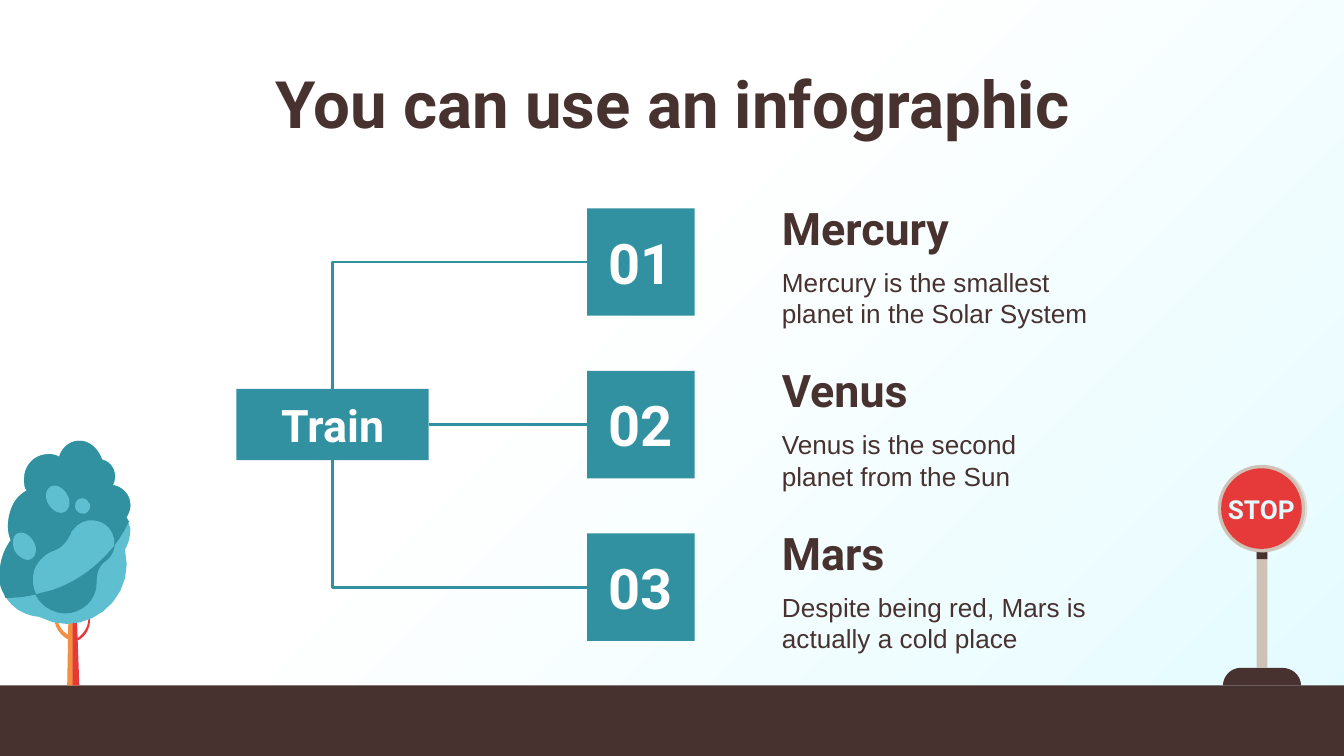
from dataclasses import dataclass

from lxml import etree
from pptx import Presentation
from pptx.dml.color import RGBColor
from pptx.enum import shapes, text
from pptx.oxml import ns
from pptx.util import Pt

COLORS = {
    "brown": "47322F", "teal": "3191A0", "sky": "5EBFD1", "white": "FFFFFF",
    "ice": "E3FBFF", "orange": "F28F42", "red": "E53A39", "stone": "CEC2B6",
    "pale": "E5DDD9",
}
RECT = shapes.MSO_SHAPE.RECTANGLE
OVAL = shapes.MSO_SHAPE.OVAL
LEFT, CENTER = text.PP_ALIGN.LEFT, text.PP_ALIGN.CENTER
TOP, MIDDLE, BOTTOM = (text.MSO_ANCHOR.TOP, text.MSO_ANCHOR.MIDDLE,
                       text.MSO_ANCHOR.BOTTOM)
FIRST_ROW, ROW_STEP = 111.6, 87.1
BOX_SIZE = 57.6
UNIT = 0.72  # points per unit of the outline grid below
CURVE_STEPS = 10


@dataclass
class Style:
    size: float
    color: str
    bold: bool = True
    font: str = "Roboto"
    align: text.PP_ALIGN = CENTER
    anchor: text.MSO_ANCHOR = MIDDLE
    inset: float = 7.2


@dataclass
class Planet:
    number: str
    name: str
    fact: str


@dataclass
class Outline:
    """Closed outline: a pair is a corner, six numbers are a cubic curve."""
    color: str
    start: tuple
    segments: list


TITLE = Style(35, "brown", anchor=TOP)
NUMBER = Style(30, "white")
ROOT = Style(24, "white")
NAME = Style(24, "brown", align=LEFT, anchor=BOTTOM)
FACT = Style(14, "brown", bold=False, font="Arial", align=LEFT, anchor=TOP)
STOP = Style(14, "ice", inset=0)

PLANETS = [
    Planet("01", "Mercury", "Mercury is the smallest planet in the Solar System"),
    Planet("02", "Venus", "Venus is the second planet from the Sun"),
    Planet("03", "Mars", "Despite being red, Mars is actually a cold place"),
]

CANOPY_TOP = [
    (96, 382, 97, 379, 97, 376), (97, 368, 91, 362, 84, 361),
    (88, 353, 84, 344, 76, 342), (73, 334, 67, 328, 59, 328),
    (52, 328, 46, 333, 44, 340), (41, 338, 38, 338, 36, 338),
    (26, 338, 18, 346, 18, 356), (18, 360, 18, 363, 20, 365),
    (14, 368, 9, 374, 7, 383), (5, 391, 6, 397, 8, 402),
    (3, 409, 0, 417, 0, 425), (-1, 432, 0, 437, 3, 442),
]
BLOB_TOP = [(53, 396, 53, 396, 53, 397), (50, 403, 46, 408, 40, 410),
            (34, 412, 29, 417, 26, 423)]
TREE = [
    Outline("orange", (58, 510), [(50, 510), (51, 454), (56, 454)]),
    Outline("red", (59, 510), [(54, 510), (54, 454), (57, 454)]),
    Outline("red", (57, 477), [(56, 476), (65, 471, 69, 460, 63, 452),
                               (64, 451), (70, 460, 67, 473, 57, 477)]),
    Outline("orange", (51, 476), [(41, 471, 37, 458, 43, 448), (45, 450),
                                  (40, 458, 43, 469, 52, 473)]),
    Outline("sky", (97, 393), [(96, 390, 95, 387, 94, 385), *CANOPY_TOP,
                               (8, 452, 18, 458, 29, 459),
                               (63, 477, 102, 446, 93, 409),
                               (96, 404, 97, 398, 97, 393)]),
    Outline("teal", (96, 388), [(94, 385), *CANOPY_TOP, (4, 445),
                                (16, 445, 27, 443, 37, 439),
                                (66, 429, 86, 410, 96, 388)]),
    Outline("sky", (48, 381), [(44, 383, 39, 380, 36, 375),
                               (33, 370, 34, 364, 38, 362),
                               (42, 360, 47, 363, 50, 368),
                               (53, 373, 52, 379, 48, 381)]),
    Outline("teal", (54, 395), [*BLOB_TOP, (21, 435, 26, 448, 38, 454),
                                (54, 462, 73, 450, 72, 432),
                                (72, 426, 74, 421, 78, 418),
                                (87, 412, 88, 400, 80, 392),
                                (73, 385, 60, 386, 54, 395)]),
    Outline("sky", (54, 395), [*BLOB_TOP, (24, 429, 24, 436, 27, 442),
                               (31, 441, 35, 440, 39, 439),
                               (57, 433, 73, 421, 85, 406),
                               (87, 388, 64, 380, 54, 395)]),
    Outline("sky", (65, 381), [(62, 384, 55, 381, 56, 376),
                               (56, 370, 64, 369, 66, 374),
                               (68, 376, 67, 379, 65, 381)]),
    Outline("sky", (23, 416), [(20, 418, 14, 415, 11, 410),
                               (9, 405, 9, 399, 13, 397),
                               (17, 395, 22, 398, 25, 403),
                               (28, 408, 27, 414, 23, 416)]),
]
SIGN_BASE = Outline("brown", (923, 497), [
    (916, 497, 910, 503, 910, 510), (968, 510), (968, 503, 962, 497, 954, 497)])


def rgb(name: str) -> RGBColor:
    return RGBColor.from_string(COLORS[name])


def paint(sp, color: str) -> None:
    sp.fill.solid()
    sp.fill.fore_color.rgb = rgb(color)
    sp.line.fill.background()
    sp.shadow.inherit = False


def write(sp, words: str, style: Style) -> None:
    tf = sp.text_frame
    frame = {"word_wrap": True, "auto_size": text.MSO_AUTO_SIZE.NONE,
             "vertical_anchor": style.anchor}
    for side in ("left", "top", "right", "bottom"):
        frame[f"margin_{side}"] = Pt(style.inset)
    p = tf.paragraphs[0]
    p.alignment = style.align
    r = p.add_run()
    r.text = words
    font = {"name": style.font, "size": Pt(style.size), "bold": style.bold}
    for target, values in ((tf, frame), (r.font, font)):
        for key, value in values.items():
            setattr(target, key, value)
    r.font.color.rgb = rgb(style.color)


def add_block(slide, kind, color: str, *box: float):
    sp = slide.shapes.add_shape(kind, *map(Pt, box))
    paint(sp, color)
    return sp


def add_label(slide, words: str, style: Style, *box: float) -> None:
    write(slide.shapes.add_textbox(*map(Pt, box)), words, style)


def add_outline(slide, outline: Outline) -> None:
    points = [outline.start]
    for seg in outline.segments:
        if len(seg) == 2:
            points.append(seg)
            continue
        a, b, c, d = points[-1], seg[:2], seg[2:4], seg[4:]
        for i in range(1, CURVE_STEPS + 1):
            t = i / CURVE_STEPS
            s = 1 - t
            points.append(tuple(
                s**3 * a[k] + 3 * s * s * t * b[k] + 3 * s * t * t * c[k] + t**3 * d[k]
                for k in (0, 1)))
    start, *rest = [(Pt(x * UNIT), Pt(y * UNIT)) for x, y in points]
    builder = slide.shapes.build_freeform(*start)
    builder.add_line_segments(rest, close=True)
    paint(builder.convert_to_shape(), outline.color)


def add_branch(slide, box, root, site: int) -> None:
    """Join the left of a number box to a connection site of the root."""
    straight = site == 3
    kind = shapes.MSO_CONNECTOR.STRAIGHT if straight else shapes.MSO_CONNECTOR.ELBOW
    line = slide.shapes.add_connector(kind, 0, 0, 0, 0)
    line.begin_connect(box, 1)
    line.end_connect(root, site)
    line.line.color.rgb = rgb("teal")
    line.line.width = Pt(1.5)
    props = line._element.spPr
    if not straight:
        props.find(ns.qn("a:prstGeom")).set("prst", "bentConnector2")
    etree.SubElement(props, ns.qn("a:effectLst"))


def add_sign(slide) -> None:
    add_block(slide, RECT, "stone", 673.2, 283.7, 5.8, 74)
    add_block(slide, RECT, "brown", 673.2, 295.4, 5.8, 4.2)
    add_outline(slide, SIGN_BASE)
    add_block(slide, OVAL, "pale", 653.6, 249.1, 46.8, 46.8)
    add_block(slide, OVAL, "stone", 652.4, 249.1, 46.8, 46.8)
    face = add_block(slide, OVAL, "red", 654.2, 250.9, 43.2, 43.2)
    write(face, "STOP", STOP)
    face.text_frame.word_wrap = False


def main() -> None:
    prs = Presentation()
    prs.slide_width, prs.slide_height = Pt(720), Pt(405)
    slide = prs.slides.add_slide(prs.slide_layouts[5])

    fill = slide.background.fill
    fill.gradient()
    fill.gradient_angle = 315
    for stop, position, color in zip(fill.gradient_stops, (0.41, 1), ("white", "ice")):
        stop.position = position
        stop.color.rgb = rgb(color)

    add_block(slide, RECT, "brown", -5.8, 367.2, 731.5, 43.2)
    title = slide.shapes.title
    for key, value in {"left": 56.9, "top": 26.6, "width": 607, "height": 54}.items():
        setattr(title, key, Pt(value))
    write(title, "You can use an infographic", TITLE)

    root = add_block(slide, RECT, "teal", 126.7, 208.4, 103, 38.2)
    write(root, "Train", ROOT)
    for row, (planet, site) in enumerate(zip(PLANETS, (0, 3, 2))):
        top = FIRST_ROW + row * ROW_STEP
        box = add_block(slide, RECT, "teal", 314.6, top, BOX_SIZE, BOX_SIZE)
        write(box, planet.number, NUMBER)
        add_label(slide, planet.fact, FACT, 411.8, top + 23.8, 181.4, 41.8)
        add_label(slide, planet.name, NAME, 411.8, top - 6.5, 181.4, 38.2)
        add_branch(slide, box, root, site)

    for outline in TREE:
        add_outline(slide, outline)
    add_sign(slide)
    prs.save("out.pptx")


if __name__ == "__main__":
    main()
